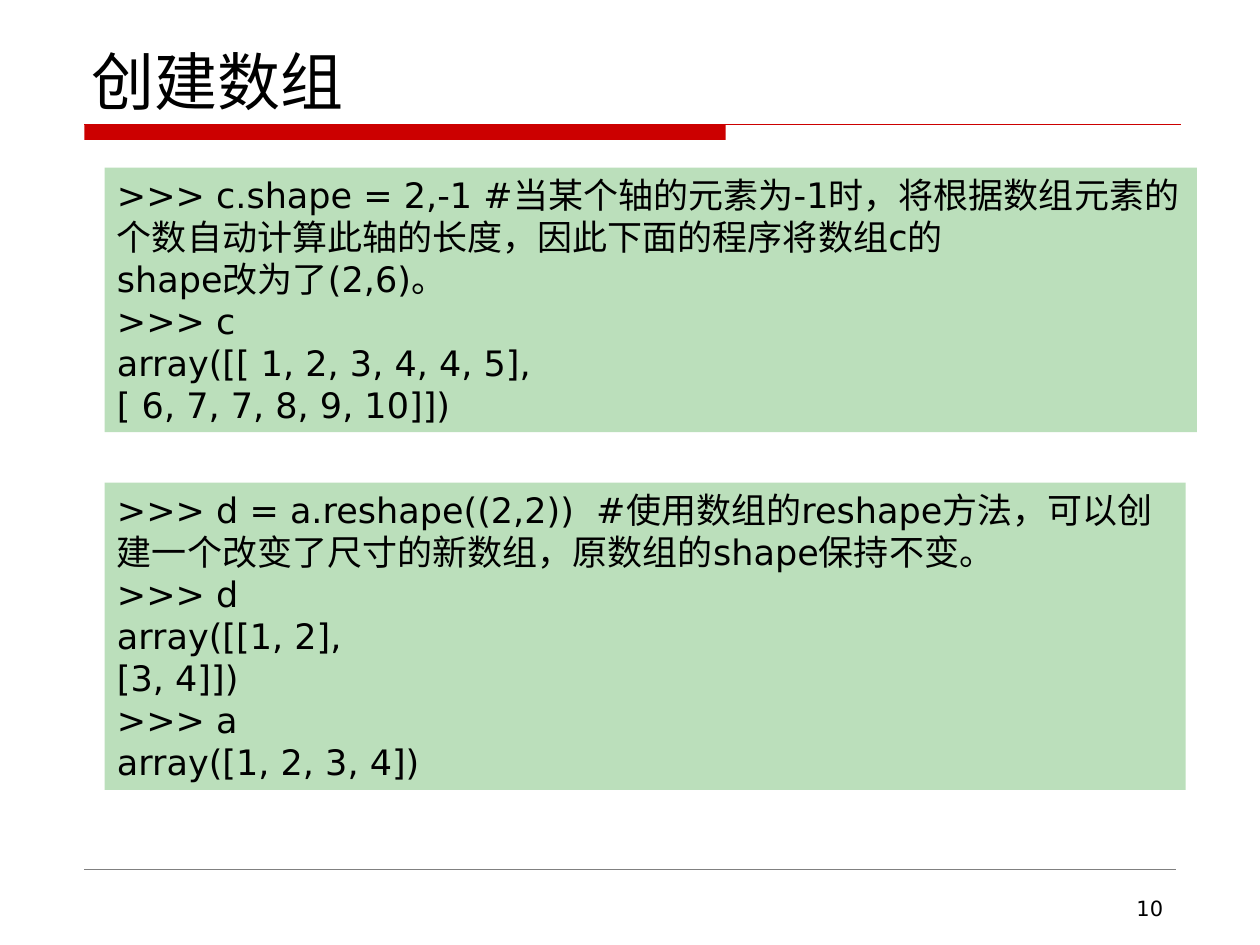
from pptx import Presentation
from pptx.dml.color import RGBColor
from pptx.enum import shapes, text
from pptx.oxml.ns import qn
from pptx.util import Inches, Pt
from lxml import etree

COLORS = {"accent": "CC0000", "rule": "808080", "code": "BBDFBB", "ink": "000000"}
FONT = "DejaVu Sans"

SHAPE_CODE = [
    ">>> c.shape = 2,-1 #当某个轴的元素为-1时，将根据数组元素的个数自动计算此轴的长度，因此下面的程序将数组c的",
    "shape改为了(2,6)。",
    ">>> c",
    "array([[ 1, 2, 3, 4, 4, 5],",
    "[ 6, 7, 7, 8, 9, 10]])",
]
RESHAPE_CODE = [
    ">>> d = a.reshape((2,2))  #使用数组的reshape方法，可以创建一个改变了尺寸的新数组，原数组的shape保持不变。",
    ">>> d",
    "array([[1, 2],",
    "[3, 4]])",
    ">>> a",
    "array([1, 2, 3, 4])",
]


def color(key):
    return RGBColor.from_string(COLORS[key])


def write_lines(frame, lines, size, align=text.PP_ALIGN.LEFT, anchor=text.MSO_ANCHOR.TOP):
    frame_format = {
        "word_wrap": True,
        "vertical_anchor": anchor,
        "margin_left": Inches(0.1),
        "margin_right": Inches(0.1),
        "margin_top": Inches(0.05),
        "margin_bottom": Inches(0.05),
    }
    for name, value in frame_format.items():
        setattr(frame, name, value)
    for index, line in enumerate(lines):
        paragraph = frame.add_paragraph() if index else frame.paragraphs[0]
        paragraph.alignment = align
        run = paragraph.add_run()
        run.text = line
        for name, value in {"name": FONT, "size": Pt(size)}.items():
            setattr(run.font, name, value)
        run.font.color.rgb = color("ink")
        for tag in ("a:ea", "a:cs"):
            etree.SubElement(run.font._element, qn(tag), typeface=FONT)


def add_block(slide, box, fill):
    block = slide.shapes.add_shape(shapes.MSO_SHAPE.RECTANGLE, *map(Inches, box))
    block.shadow.inherit = False
    block.fill.solid()
    block.fill.fore_color.rgb = color(fill)
    block.line.fill.background()
    return block


def add_rule(slide, left, top, width, stroke, weight):
    ends = map(Inches, (left, top, left + width, top))
    rule = slide.shapes.add_connector(shapes.MSO_CONNECTOR.STRAIGHT, *ends)
    rule.line.color.rgb = color(stroke)
    rule.line.width = Pt(weight)
    etree.SubElement(rule._element.spPr, qn("a:effectLst"))


def add_header(slide, title, left, top, width, height):
    title_box = slide.shapes.add_textbox(*map(Inches, (left, top, width, height)))
    write_lines(title_box.text_frame, [title], 36, anchor=text.MSO_ANCHOR.BOTTOM)
    bar_left, bar_top = left + 0.04, top + height
    add_block(slide, (bar_left, bar_top, 5.09, 0.12), "accent")
    add_rule(slide, bar_left, bar_top, 8.7, "accent", 0.75)


def add_code(slide, lines, *box):
    write_lines(add_block(slide, box, "code").text_frame, lines, 20)


def add_footer(slide, number, left, top, width):
    add_rule(slide, left, top, width, "rule", 0.25)
    number_width = width / 4
    box = (left + width - number_width, top + 0.16, number_width, 0.29)
    number_box = slide.shapes.add_textbox(*map(Inches, box))
    write_lines(number_box.text_frame, [number], 12, align=text.PP_ALIGN.RIGHT)


def main():
    deck = Presentation()
    deck.slide_width, deck.slide_height = Inches(10), Inches(7.5)
    slide = deck.slides.add_slide(deck.slide_layouts[6])
    add_header(slide, "创建数组", 0.63, 0.33, 8.75, 0.66)
    add_code(slide, RESHAPE_CODE, 0.83, 3.83, 8.58, 2.44)
    add_code(slide, SHAPE_CODE, 0.83, 1.33, 8.67, 2.1)
    add_footer(slide, "10", 0.67, 6.9, 8.66)
    deck.save("out.pptx")


if __name__ == "__main__":
    main()
